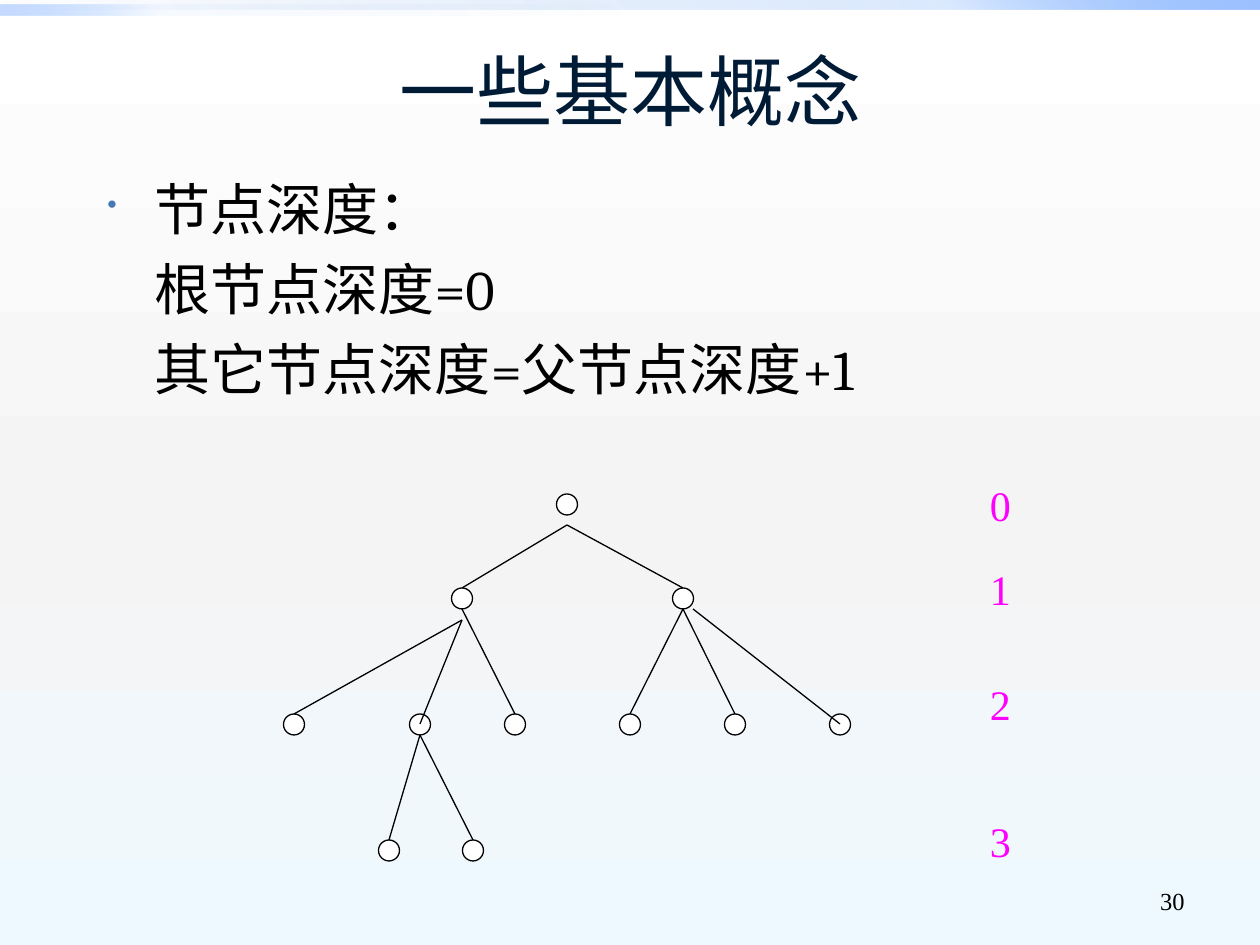
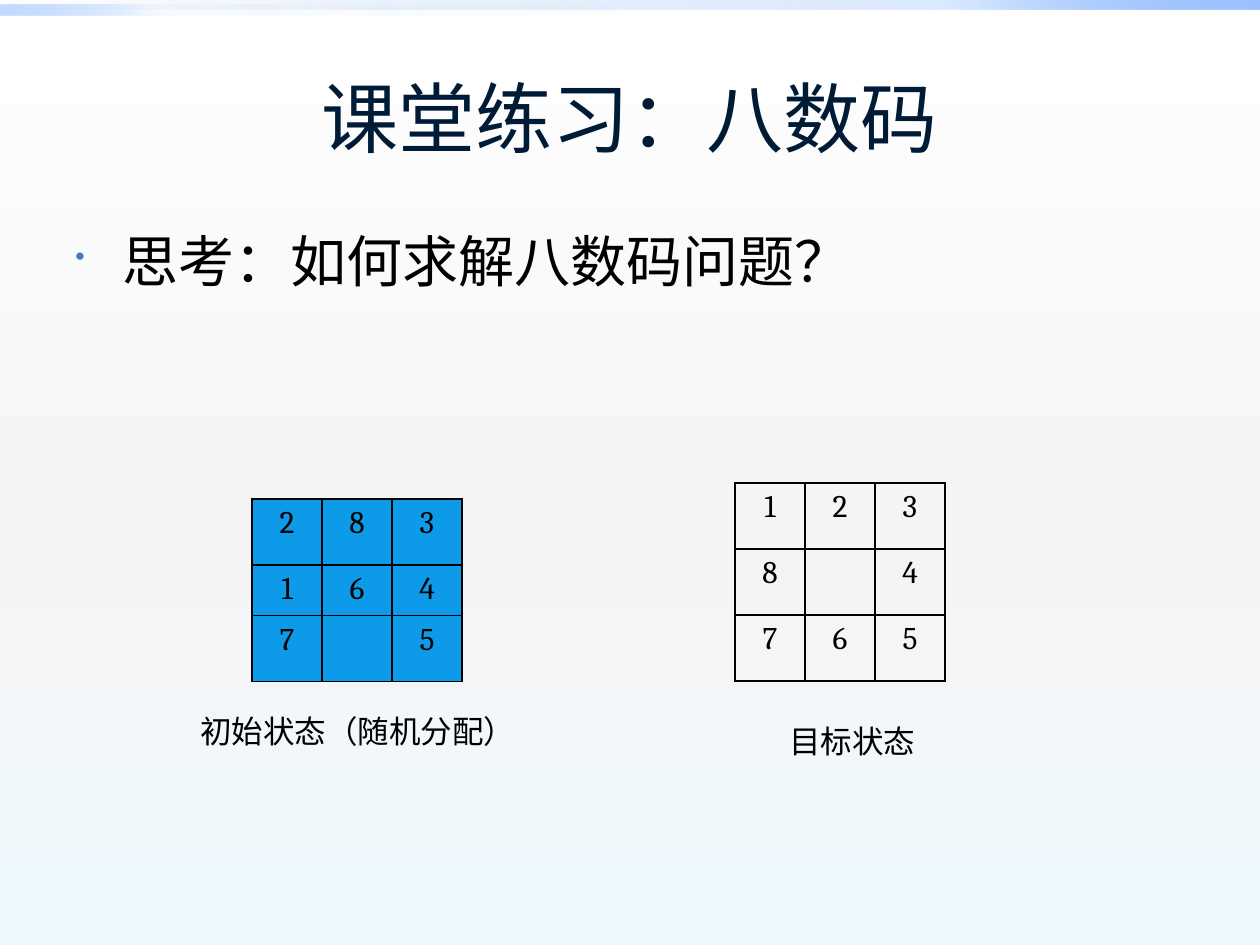
from lxml import etree
from pptx import Presentation
from pptx.dml.color import RGBColor
from pptx.enum.shapes import MSO_CONNECTOR, MSO_SHAPE
from pptx.enum.text import MSO_ANCHOR, PP_ALIGN
from pptx.oxml.ns import qn
from pptx.util import Emu, Pt

RECT, OVAL, STRAIGHT = MSO_SHAPE.RECTANGLE, MSO_SHAPE.OVAL, MSO_CONNECTOR.STRAIGHT
LEFT, CENTER, RIGHT = PP_ALIGN.LEFT, PP_ALIGN.CENTER, PP_ALIGN.RIGHT
TOP, MIDDLE = MSO_ANCHOR.TOP, MSO_ANCHOR.MIDDLE

BLACK = RGBColor(0x00, 0x00, 0x00)
WHITE = RGBColor(0xFF, 0xFF, 0xFF)
NAVY = RGBColor(0x00, 0x1B, 0x36)
BULLET = RGBColor(0x47, 0x7A, 0xB1)
MAGENTA = RGBColor(0xFF, 0x00, 0xFF)
TILE = RGBColor(0x0D, 0x9B, 0xE9)
SMOKE = RGBColor(0xF4, 0xF4, 0xF4)
ICE = RGBColor(0xEE, 0xF9, 0xFF)
BAND_DARK = RGBColor(0x00, 0x58, 0xB7)
BAND_MID = RGBColor(0x4F, 0x95, 0xFF)
BAND_LIGHT = RGBColor(0x9E, 0xC2, 0xFF)

HEAD_FONT, BODY_FONT, NUMBER_FONT = "Arial", "Cambria", "Times New Roman"
SCALE = 914400 / 126

BACKDROP = [(0, WHITE, 100), (55, SMOKE, 100), (100, ICE, 100)]
BANDS = [
    ((0, 0, 1260, 10), 315, [(0, BAND_DARK, 0), (75, BAND_MID, 20), (100, BAND_LIGHT, 100)]),
    ((0, 5, 630, 10), 135, [(0, BAND_DARK, 0), (75, BAND_MID, 5), (100, BAND_LIGHT, 60)]),
]

DEPTH = {
    "title": ("一些基本概念", (95, 32, 1071, 116)),
    "body": (["节点深度：", "根节点深度=0", "其它节点深度=父节点深度+1"], (95, 168, 1071, 672)),
    "number": ("30", (903, 876, 294, 50)),
}
NODE = 21
NODE_TOPS = [494, 588, 714, 840]
NODE_CENTERS = [[567], [462, 683], [294, 420, 515, 630, 735, 840], [389, 473]]
LABEL_X, LABEL_TOPS = 977, [473, 557, 672, 809]
# parent level, parent, child, start dx, start dy, end dy
EDGES = [
    (0, 0, 0, 0, 10, 0), (0, 0, 1, 0, 10, 0),
    (1, 0, 0, 0, 11, 0), (1, 0, 1, 0, 11, 10), (1, 0, 2, 0, 0, 0),
    (1, 1, 3, 0, 0, 0), (1, 1, 4, 0, 0, 0), (1, 1, 5, 10, 0, 10),
    (2, 1, 0, 0, 0, 0), (2, 1, 1, 0, 0, 0),
]

PUZZLE = {
    "title": ("课堂练习：八数码", (63, 38, 1134, 157)),
    "body": (["思考：如何求解八数码问题？"], (63, 220, 1134, 624)),
}
CELL_WIDTH = 70
BOARDS = [
    (["283", "164", "7 5"], (252, 499), [66, 49, 66], TILE),
    (["123", "8 4", "765"], (735, 483), [66, 66, 66], None),
]
CAPTIONS = [
    ("目标状态", (777, 716, 199, 50), LEFT),
    ("初始状态（随机分配）", (174, 706, 368, 50), CENTER),
]


def px(n):
    return Emu(round(n * SCALE))


def box(values):
    return [px(v) for v in values]


def sub(parent, tag, **attrs):
    return etree.SubElement(parent, qn(tag), **{k: str(v) for k, v in attrs.items()})


def set_gradient(fill, element, stops, angle):
    fill.gradient()
    grad = element.find(".//" + qn("a:gradFill"))
    gs_list = grad.find(qn("a:gsLst"))
    for gs in list(gs_list):
        gs_list.remove(gs)
    for pos, color, alpha in stops:
        gs = sub(gs_list, "a:gs", pos=pos * 1000)
        sub(sub(gs, "a:srgbClr", val=color), "a:alpha", val=alpha * 1000)
    lin = grad.find(qn("a:lin"))
    lin.set("ang", str(angle * 60000))


def style(p, size, font, color, align=LEFT):
    p.font.size, p.font.name, p.font.color.rgb = Pt(size), font, color
    p.alignment = align


def add_text(slide, lines, at, size, font, color, align=LEFT, anchor=TOP, wrap=True):
    tf = slide.shapes.add_textbox(*box(at)).text_frame
    tf.word_wrap = wrap
    tf.vertical_anchor = anchor
    tf.text = "\n".join(lines)
    for p in tf.paragraphs:
        style(p, size, font, color, align)
    return tf


def add_body(slide, lines, at):
    tf = add_text(slide, lines, at, 32, BODY_FONT, BLACK)
    for i, p in enumerate(tf.paragraphs):
        p.space_before = Pt(7.5)
        p_pr = p._p.get_or_add_pPr()
        p_pr.set("marL", str(px(47)))
        p_pr.set("indent", str(px(0 if i else -47)))
        if i == 0:
            marks = etree.Element("marks")
            sub(sub(marks, "a:buClr"), "a:srgbClr", val=BULLET)
            sub(marks, "a:buSzPct", val=50000)
            sub(marks, "a:buChar", char="•")
            def_rpr = p_pr.find(qn("a:defRPr"))
            for mark in list(marks):
                def_rpr.addprevious(mark)


def add_slide(prs, content):
    slide = prs.slides.add_slide(prs.slide_layouts[6])
    set_gradient(slide.background.fill, slide.element, BACKDROP, 90)
    for at, angle, stops in BANDS:
        sp = slide.shapes.add_shape(RECT, *box(at))
        sp.shadow.inherit = False
        sp.line.fill.background()
        set_gradient(sp.fill, sp.element, stops, angle)
    title, at = content["title"]
    add_text(slide, [title], at, 44, HEAD_FONT, NAVY, CENTER, MIDDLE)
    add_body(slide, *content["body"])
    if "number" in content:
        number, at = content["number"]
        add_text(slide, [number], at, 14, NUMBER_FONT, BLACK, RIGHT, MIDDLE)
    return slide


def outline(shape):
    shape.line.color.rgb = BLACK
    shape.line.width = Pt(0.75)


def add_tree(slide):
    for top, centers in zip(NODE_TOPS, NODE_CENTERS):
        for x in centers:
            sp = slide.shapes.add_shape(OVAL, *box((x - NODE / 2, top, NODE, NODE)))
            sp.shadow.inherit = False
            sp.fill.solid()
            sp.fill.fore_color.rgb = WHITE
            outline(sp)
    for level, parent, child, dx, dy, end_dy in EDGES:
        start = NODE_CENTERS[level][parent] + dx, NODE_TOPS[level] + NODE + dy
        end = NODE_CENTERS[level + 1][child], NODE_TOPS[level + 1] + end_dy
        line = slide.shapes.add_connector(STRAIGHT, *box(start + end))
        outline(line)
        sub(line.element.spPr, "a:effectLst")
    for depth, top in enumerate(LABEL_TOPS):
        add_text(slide, [str(depth)], (LABEL_X, top, 47, 63), 24, NUMBER_FONT, MAGENTA,
                 CENTER, MIDDLE, wrap=False)


def add_borders(cell):
    tc_pr = cell._tc.get_or_add_tcPr()
    for side in ("a:lnL", "a:lnR", "a:lnT", "a:lnB"):
        ln = sub(tc_pr, side, w=Pt(1))
        sub(sub(ln, "a:solidFill"), "a:srgbClr", val=BLACK)


def add_board(slide, rows, corner, heights, color):
    size = (CELL_WIDTH * 3, sum(heights))
    table = slide.shapes.add_table(3, 3, *box(corner + size)).table
    table.first_row = table.horz_banding = False
    for column in table.columns:
        column.width = px(CELL_WIDTH)
    for r, (row, height) in enumerate(zip(rows, heights)):
        table.rows[r].height = px(height)
        for c, digit in enumerate(row):
            cell = table.cell(r, c)
            cell.text = digit.strip()
            style(cell.text_frame.paragraphs[0], 18, BODY_FONT, BLACK, CENTER)
            add_borders(cell)
            if color is None:
                cell.fill.background()
            else:
                cell.fill.solid()
                cell.fill.fore_color.rgb = color


def main():
    prs = Presentation()
    prs.slide_width, prs.slide_height = px(1260), px(945)
    add_tree(add_slide(prs, DEPTH))
    slide = add_slide(prs, PUZZLE)
    for board in BOARDS:
        add_board(slide, *board)
    for caption, at, align in CAPTIONS:
        add_text(slide, [caption], at, 18, BODY_FONT, BLACK, align)
    prs.save("out.pptx")


if __name__ == "__main__":
    main()
